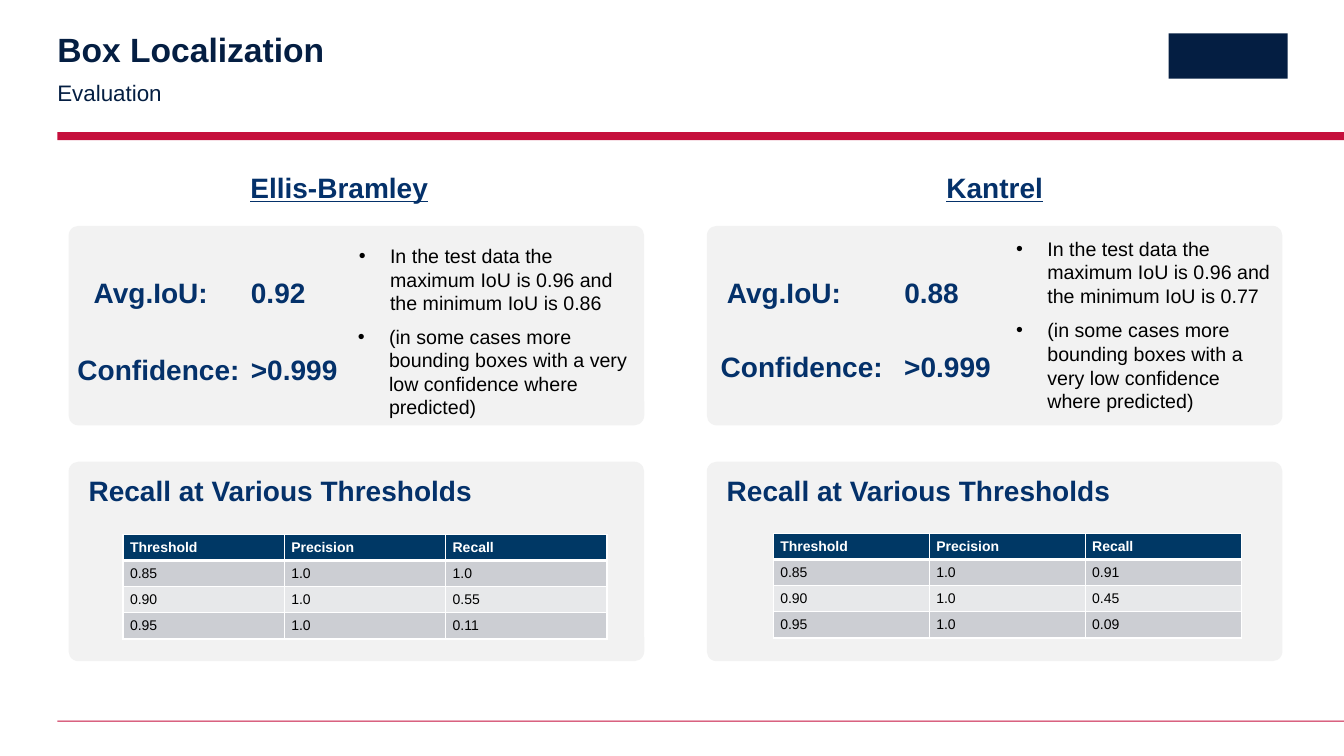
from dataclasses import dataclass

import pptx
import pptx.dml.color
import pptx.enum.shapes
import pptx.enum.text
import pptx.oxml
import pptx.oxml.ns
import pptx.util

Inches = pptx.util.Inches
Pt = pptx.util.Pt
SHAPE = pptx.enum.shapes.MSO_SHAPE
ALIGN = pptx.enum.text.PP_ALIGN


@dataclass(frozen=True)
class Theme:
    font: str = "Arial"
    ink: str = "041E42"
    heading: str = "04316A"
    accent: str = "C50F3C"
    panel: str = "F2F2F2"
    table_head: str = "003865"
    bands: tuple = ("CCCED3", "E7E8EA")
    white: str = "FFFFFF"
    black: str = "000000"
    title_size: int = 24
    heading_size: int = 20
    subtitle_size: int = 16
    body_size: int = 14
    table_size: int = 10


THEME = Theme()


@dataclass(frozen=True)
class Model:
    name: str
    name_box: tuple
    panel_x: float
    iou_x: float
    confidence_at: tuple
    value_x: float
    iou: str
    minimum: str
    range_box: tuple
    cases_box: tuple
    table_box: tuple
    recalls: tuple


MODELS = (
    Model("Ellis-Bramley", (2.36, 2.01), 0.68, 0.83, (0.67, 3.45), 2.39,
          "0.92", "0.86", (3.46, 2.37, 2.92, 0.81), (3.45, 3.17, 3.02, 1.04),
          (1.22, 5.3, 4.8), ("1.0", "0.55", "0.11")),
    Model("Kantrel", (9.22, 1.29), 7.01, 7.11, (7.05, 3.42), 8.87,
          "0.88", "0.77", (9.98, 2.3, 2.86, 0.81), (9.98, 3.11, 2.58, 1.04),
          (7.67, 5.29, 4.64), ("0.91", "0.45", "0.09")),
)


def rgb(value):
    return pptx.dml.color.RGBColor.from_string(value)


def style_run(r, size, color, bold=False, underline=False):
    r.font.name = THEME.font
    r.font.size = Pt(size)
    r.font.color.rgb = rgb(color)
    r.font.bold = bold
    r.font.underline = underline


def add_block(s, kind, box, color):
    sp = s.shapes.add_shape(kind, *map(Inches, box))
    sp.shadow.inherit = False
    sp.fill.solid()
    sp.fill.fore_color.rgb = rgb(color)
    sp.line.fill.background()
    return sp


def add_panel(s, x, y):
    sp = add_block(s, SHAPE.ROUNDED_RECTANGLE, (x, y, 5.71, 1.98), THEME.panel)
    sp.adjustments[0] = 0.05


def add_text(s, text, box, size, color, bold=False, underline=False):
    tf = s.shapes.add_textbox(*map(Inches, box)).text_frame
    tf.word_wrap = True
    tf.text = text
    p = tf.paragraphs[0]
    style_run(p.runs[0], size, color, bold, underline)
    return p


def add_heading(s, text, x, y, w, underline=False):
    return add_text(s, text, (x, y, w, 0.44), THEME.heading_size,
                    THEME.heading, True, underline)


def add_bullet(s, text, box):
    p = add_text(s, text, box, THEME.body_size, THEME.black)
    pPr = p._p.get_or_add_pPr()
    pPr.set("marL", str(Inches(0.31)))
    pPr.set("indent", str(-Inches(0.31)))
    ns = pptx.oxml.ns.nsdecls("a")
    pPr.append(pptx.oxml.parse_xml(f'<a:buFont {ns} typeface="{THEME.font}"/>'))
    pPr.append(pptx.oxml.parse_xml(f'<a:buChar {ns} char="•"/>'))


def add_borders(cell, bottom):
    tcPr = cell._tc.get_or_add_tcPr()
    ns = pptx.oxml.ns.nsdecls("a")
    for side, width in (("L", 1), ("R", 1), ("T", 1), ("B", bottom)):
        tcPr.append(pptx.oxml.parse_xml(
            f'<a:ln{side} {ns} w="{Pt(width)}"><a:solidFill>'
            f'<a:srgbClr val="{THEME.white}"/></a:solidFill></a:ln{side}>'))


def fill_cell(cell, text, header, color):
    add_borders(cell, 3 if header else 1)
    cell.fill.solid()
    cell.fill.fore_color.rgb = rgb(color)
    cell.margin_left = cell.margin_right = Inches(0.07)
    cell.margin_top = cell.margin_bottom = 0
    cell.vertical_anchor = pptx.enum.text.MSO_ANCHOR.MIDDLE
    cell.text = text
    p = cell.text_frame.paragraphs[0]
    p.alignment = ALIGN.JUSTIFY
    style_run(p.runs[0], THEME.table_size,
              THEME.white if header else THEME.black, header)


def add_recall_table(s, box, recalls):
    rows = [("Threshold", "Precision", "Recall")]
    rows += [(t, "1.0", r) for t, r in zip(("0.85", "0.90", "0.95"), recalls)]
    x, y, w = box
    table = s.shapes.add_table(4, 3, Inches(x), Inches(y),
                               Inches(w), Inches(1.04)).table
    for i, row in enumerate(rows):
        table.rows[i].height = Inches(0.26)
        color = THEME.bands[(i - 1) % 2] if i else THEME.table_head
        for j, text in enumerate(row):
            fill_cell(table.cell(i, j), text, i == 0, color)


def add_header(s):
    for y, h in ((1.31, 0.08), (7.15, 0.01)):
        add_block(s, SHAPE.RECTANGLE, (0.57, y, 12.76, h), THEME.accent)
    add_block(s, SHAPE.RECTANGLE, (11.59, 0.33, 1.18, 0.45), THEME.ink)
    p = add_text(s, "Box Localization", (0.47, 0.28, 7.49, 0.46),
                 THEME.title_size, THEME.ink, True)
    p.line_spacing = 0.9
    p = add_text(s, "Evaluation", (0.47, 0.71, 7.49, 0.27),
                 THEME.subtitle_size, THEME.ink)
    p.line_spacing = 1.1


def add_model(s, model):
    name_x, name_w = model.name_box
    p = add_heading(s, model.name, name_x, 1.64, name_w, True)
    p.alignment = ALIGN.CENTER

    add_panel(s, model.panel_x, 2.24)
    confidence_x, confidence_y = model.confidence_at
    add_heading(s, "Avg.IoU:", model.iou_x, 2.68, 1.35)
    add_heading(s, model.iou, model.value_x, 2.68, 0.75)
    add_heading(s, "Confidence:", confidence_x, confidence_y, 1.82)
    add_heading(s, ">0.999", model.value_x, confidence_y, 1.07)
    add_bullet(s, "In the test data the maximum IoU is 0.96 and "
                  f"the minimum IoU is {model.minimum}", model.range_box)
    add_bullet(s, "(in some cases more bounding boxes with a very "
                  "low confidence where predicted)", model.cases_box)

    add_panel(s, model.panel_x, 4.58)
    add_heading(s, "Recall at Various Thresholds",
                model.panel_x + 0.1, 4.65, 4.1)
    add_recall_table(s, model.table_box, model.recalls)


def main():
    prs = pptx.Presentation()
    prs.slide_width = Inches(13.33)
    prs.slide_height = Inches(7.5)
    s = prs.slides.add_slide(prs.slide_layouts[6])
    add_header(s)
    for model in MODELS:
        add_model(s, model)
    prs.save("out.pptx")


if __name__ == "__main__":
    main()
